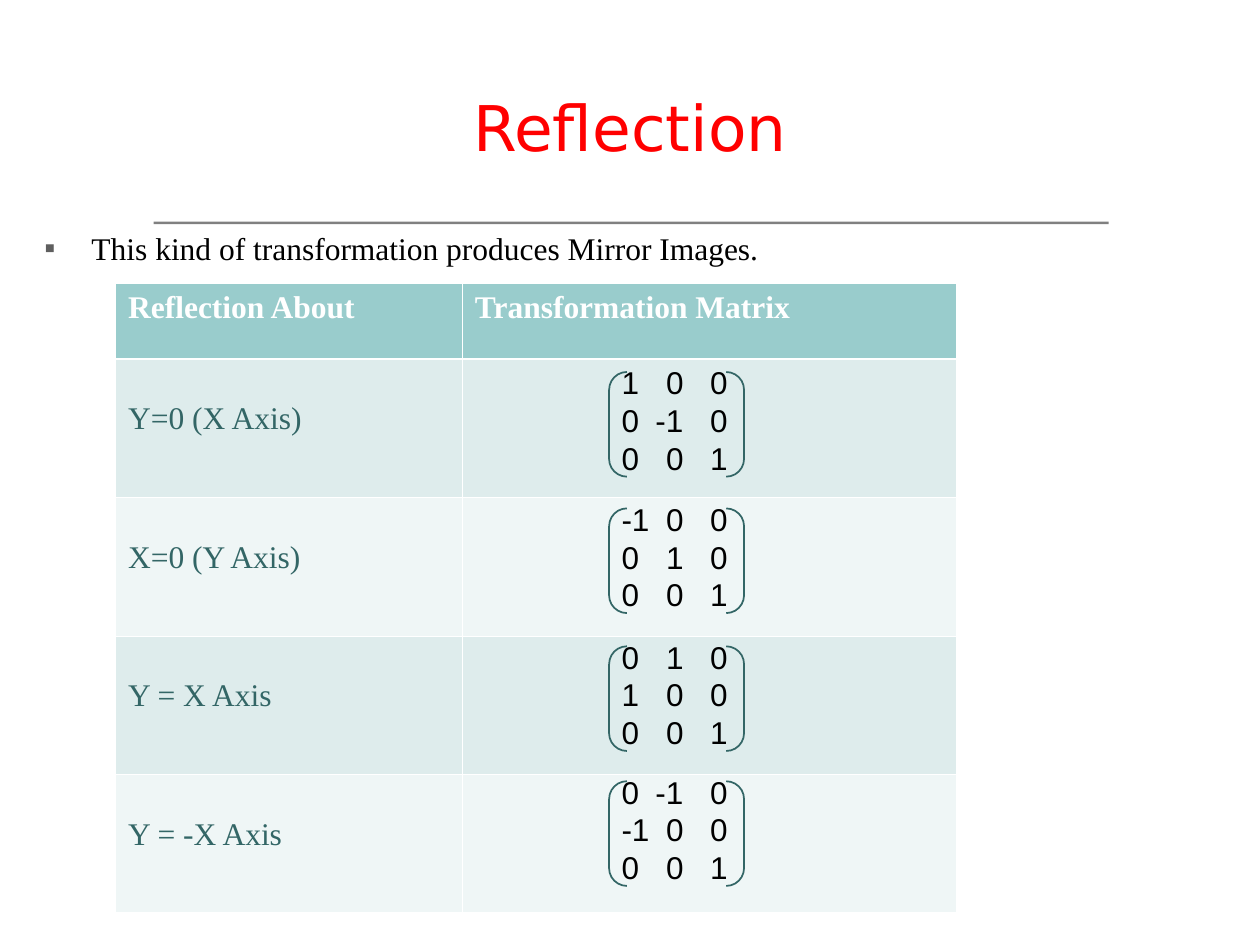
import lxml.etree
import pptx
import pptx.dml.color
import pptx.enum.shapes
import pptx.enum.text
import pptx.oxml.ns
import pptx.util
from pptx.dml.color import RGBColor
from pptx.util import Cm, Pt

RED = RGBColor(0xFF, 0x00, 0x00)
BLACK = RGBColor(0x00, 0x00, 0x00)
WHITE = RGBColor(0xFF, 0xFF, 0xFF)
GREY = RGBColor(0x80, 0x80, 0x80)
BULLET_GREY = RGBColor(0x5F, 0x5F, 0x5F)
TEAL = RGBColor(0x33, 0x66, 0x66)
HEADER_TEAL = RGBColor(0x99, 0xCC, 0xCC)
BANDS = (RGBColor(0xDE, 0xEC, 0xEC), RGBColor(0xEF, 0xF6, 0xF6))

SERIF = "Times New Roman"
HEADINGS = ("Reflection About", "Transformation Matrix")
# Axis, top of its matrix in cm, matrix rows
REFLECTIONS = (
    ("Y=0 (X Axis)", 7.2, ("1 0 0", "0 -1 0", "0 0 1")),
    ("X=0 (Y Axis)", 9.95, ("-1 0 0", "0 1 0", "0 0 1")),
    ("Y = X Axis", 12.73, ("0 1 0", "1 0 0", "0 0 1")),
    ("Y = -X Axis", 15.45, ("0 -1 0", "-1 0 0", "0 0 1")),
)


def add_xml(parent, tag, **attributes):
    return lxml.etree.SubElement(parent, pptx.oxml.ns.qn(tag), attributes)


def set_font(paragraph, name, size, color, bold=False):
    font = paragraph.font
    font.name, font.size, font.bold = name, Pt(size), bold
    font.color.rgb = color


def place(shape, left, top, width, height):
    shape.left, shape.top = Cm(left), Cm(top)
    shape.width, shape.height = Cm(width), Cm(height)


def fill_title(title):
    place(title, 0, 1.27, 25.4, 2.54)
    title.text_frame.text = "Reflection"
    title.text_frame.vertical_anchor = pptx.enum.text.MSO_ANCHOR.MIDDLE
    heading = title.text_frame.paragraphs[0]
    heading.alignment = pptx.enum.text.PP_ALIGN.CENTER
    set_font(heading, "DejaVu Sans", 36, RED)


def fill_body(body):
    place(body, 0.64, 4.48, 24.33, 14.57)
    frame = body.text_frame
    frame.auto_size = pptx.enum.text.MSO_AUTO_SIZE.NONE
    frame.text = "This kind of transformation produces Mirror Images."
    statement = frame.paragraphs[0]
    properties = statement._p.get_or_add_pPr()
    properties.set("marL", str(Cm(0.95)))
    properties.set("indent", str(-Cm(0.95)))
    bullet_color = add_xml(properties, "a:buClr")
    add_xml(bullet_color, "a:srgbClr", val=str(BULLET_GREY))
    add_xml(properties, "a:buFont", typeface=SERIF)
    add_xml(properties, "a:buChar", char="▪")
    statement.alignment = pptx.enum.text.PP_ALIGN.JUSTIFY
    statement.space_before = Pt(0)
    set_font(statement, SERIF, 18, BLACK)


def add_rule(slide):
    rule = slide.shapes.add_shape(pptx.enum.shapes.MSO_SHAPE.RECTANGLE,
                                  Cm(3.1), Cm(4.47), Cm(19.25), Cm(0.05))
    rule.shadow.inherit = False
    rule.fill.solid()
    rule.fill.fore_color.rgb = GREY
    rule.line.fill.background()


def style_cell(cell, fill, top_border=0.45, bottom_border=0.45):
    cell.fill.solid()
    cell.fill.fore_color.rgb = fill
    properties = cell._tc.get_or_add_tcPr()
    borders = (("a:lnL", 0.45), ("a:lnR", 0.45),
               ("a:lnT", top_border), ("a:lnB", bottom_border))
    for position, (tag, width) in enumerate(borders):
        border = add_xml(properties, tag, w=str(Pt(width)))
        add_xml(add_xml(border, "a:solidFill"), "a:srgbClr", val=str(WHITE))
        properties.insert(position, border)


def add_reflection_table(slide):
    table = slide.shapes.add_table(len(REFLECTIONS) + 1, len(HEADINGS), Cm(2.33),
                                   Cm(5.72), Cm(16.94), Cm(12.7)).table
    table.horz_banding = False
    table.columns[0].width, table.columns[1].width = Cm(6.99), Cm(9.95)
    table.rows[0].height = Cm(1.52)
    for column, heading in enumerate(HEADINGS):
        cell = table.cell(0, column)
        cell.text = heading
        set_font(cell.text_frame.paragraphs[0], SERIF, 18, WHITE, bold=True)
        style_cell(cell, HEADER_TEAL, bottom_border=1.47)

    for row, (axis, _, _) in enumerate(REFLECTIONS, start=1):
        table.rows[row].height = Cm(2.79)
        axis_cell = table.cell(row, 0)
        axis_cell.text = axis
        axis_cell.margin_top = Cm(0.86)
        set_font(axis_cell.text_frame.paragraphs[0], SERIF, 18, TEAL)
        for column in range(len(HEADINGS)):
            style_cell(table.cell(row, column), BANDS[(row - 1) % 2],
                       top_border=1.47 if row == 1 else 0.45)


def add_matrix(slide, top, rows):
    """Group the entries, aligned by right tabs, with their brackets."""
    group = slide.shapes.add_group_shape()
    entries = group.shapes.add_textbox(Cm(12.28), Cm(top), Cm(3.39), Cm(2.54))
    frame = entries.text_frame
    frame.word_wrap = True
    frame.text = "\n".join(row.replace(" ", "\t") for row in rows)
    for paragraph in frame.paragraphs:
        tabs = add_xml(paragraph._p.get_or_add_pPr(), "a:tabLst")
        for position in (1.25, 2.14):
            add_xml(tabs, "a:tab", pos=str(Cm(position)), algn="r")
        set_font(paragraph, "Arial", 18, BLACK)

    brackets = group.shapes.add_shape(pptx.enum.shapes.MSO_SHAPE.DOUBLE_BRACKET,
                                      Cm(12.28), Cm(top + 0.3), Cm(2.72), Cm(2.11))
    brackets.adjustments[0] = 0.17
    brackets.shadow.inherit = False
    brackets.fill.background()
    brackets.line.color.rgb = TEAL
    brackets.line.width = Pt(1)


def main():
    presentation = pptx.Presentation()
    presentation.slide_width, presentation.slide_height = Cm(25.4), Cm(19.05)
    slide = presentation.slides.add_slide(presentation.slide_layouts[1])
    add_rule(slide)
    fill_title(slide.shapes.title)
    fill_body(slide.placeholders[1])
    add_reflection_table(slide)
    for _, top, rows in REFLECTIONS:
        add_matrix(slide, top, rows)
    presentation.save("out.pptx")


if __name__ == "__main__":
    main()
